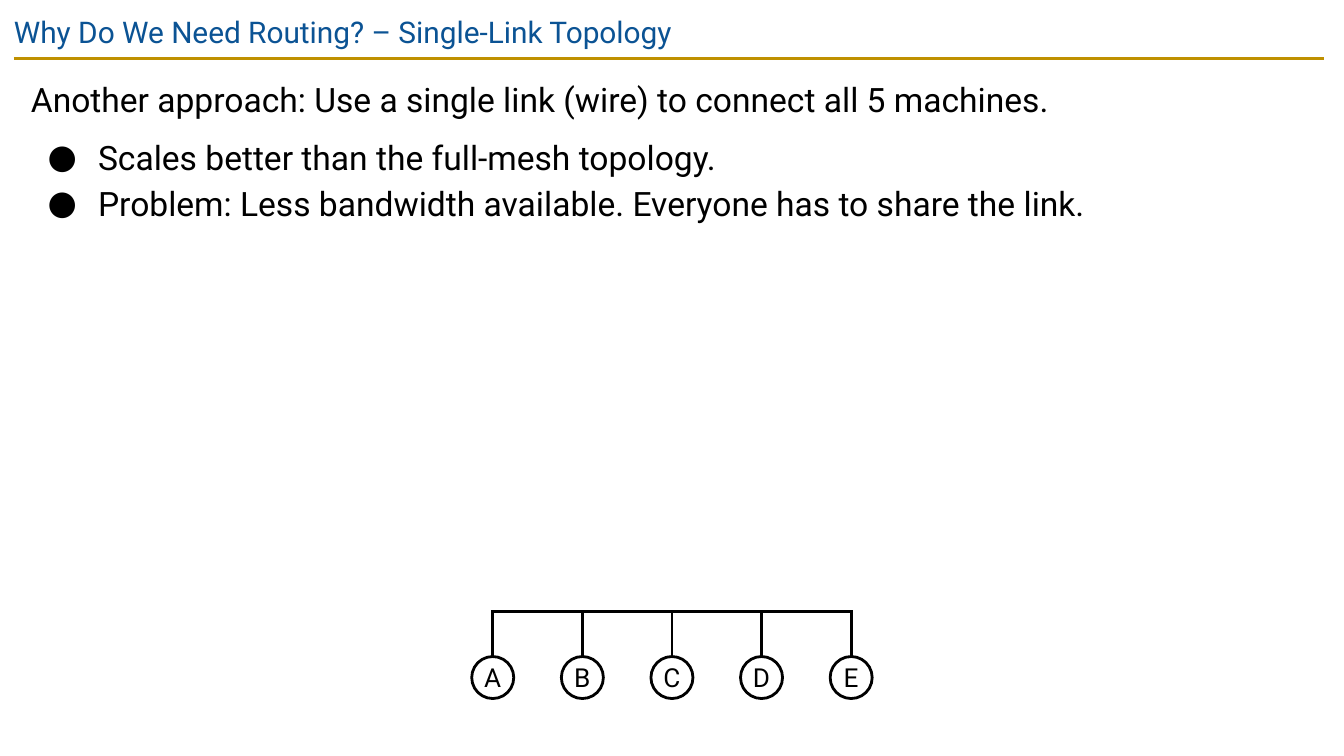
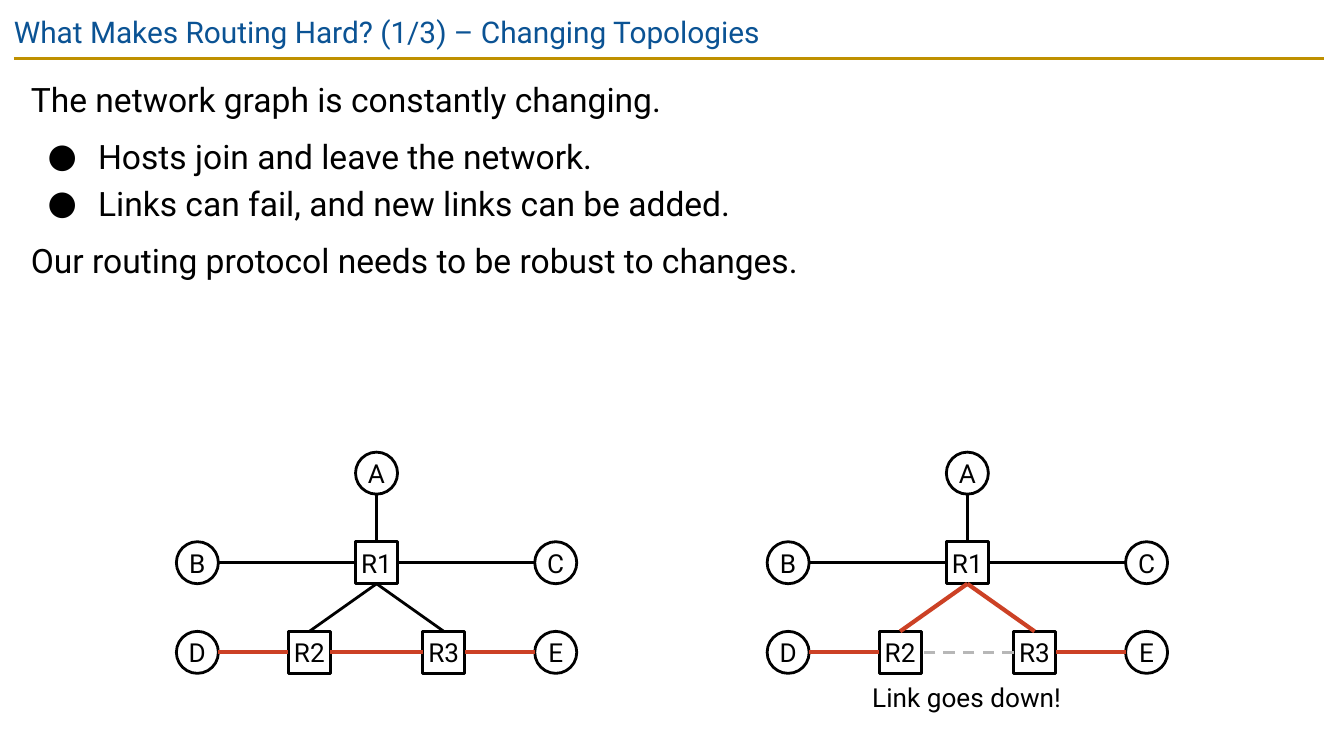
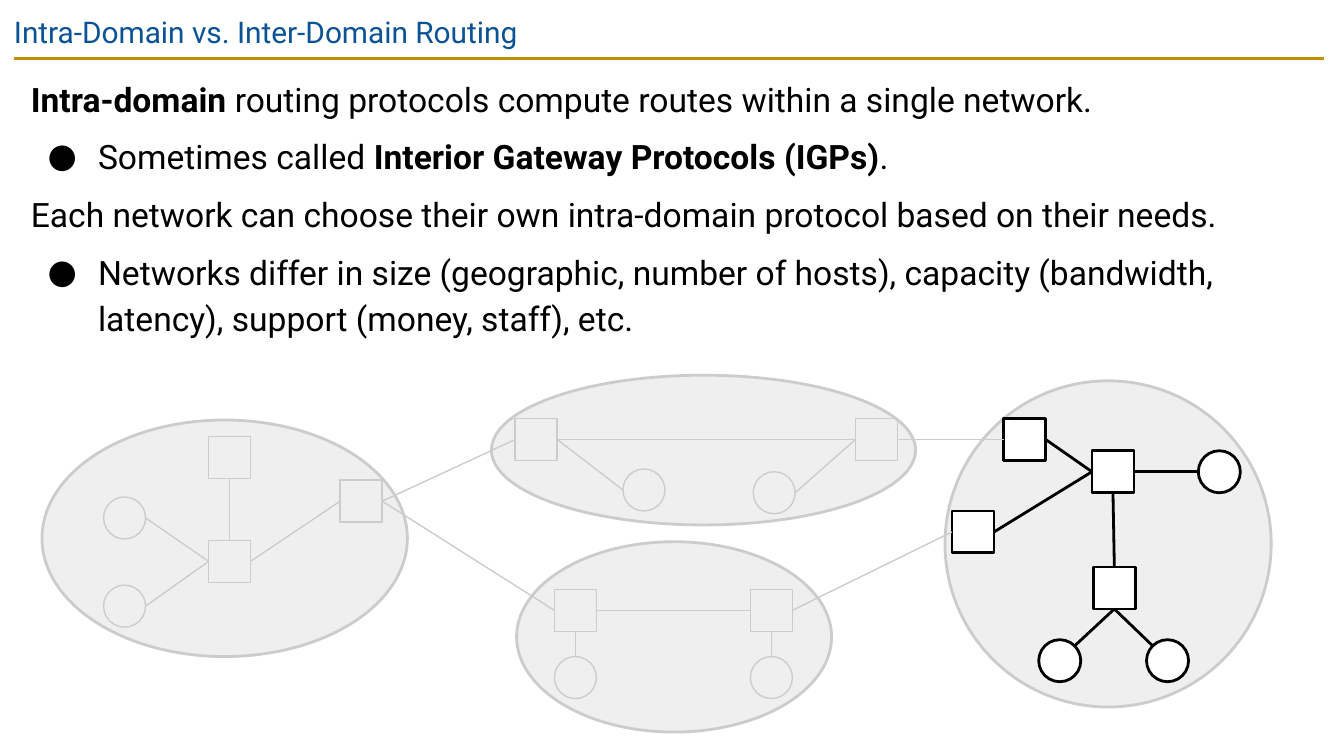
import dataclasses
import typing

import pptx
import pptx.dml.color
import pptx.enum.dml
import pptx.enum.shapes
import pptx.enum.text
import pptx.oxml.ns
import pptx.util
from lxml import etree

RGBColor = pptx.dml.color.RGBColor
Shape = pptx.enum.shapes.MSO_SHAPE
Align = pptx.enum.text.PP_ALIGN
Anchor = pptx.enum.text.MSO_ANCHOR
Dash = pptx.enum.dml.MSO_LINE
qn = pptx.oxml.ns.qn

# Shared look
BLACK = RGBColor(0x00, 0x00, 0x00)
WHITE = RGBColor(0xFF, 0xFF, 0xFF)
BLUE = RGBColor(0x0B, 0x53, 0x94)
GOLD = RGBColor(0xBF, 0x90, 0x00)
RED = RGBColor(0xCC, 0x41, 0x25)
DOWN_GRAY = RGBColor(0xB7, 0xB7, 0xB7)
FADED = RGBColor(0xCC, 0xCC, 0xCC)
CLOUD_GRAY = RGBColor(0xEF, 0xEF, 0xEF)

FONT = "Roboto"
EMU_PER_PX = 9525
SLIDE_W, SLIDE_H = 960, 540
NODE = 30
PAD = 10
HOST, ROUTER = Shape.OVAL, Shape.RECTANGLE

# Where a link can meet a node, as fractions of the node's box
SIDES = {"t": (0.5, 0), "b": (0.5, 1), "l": (0, 0.5), "r": (1, 0.5),
         "tl": (0.15, 0.15), "tr": (0.85, 0.15)}


@dataclasses.dataclass(frozen=True)
class Pen:
    color: RGBColor = BLACK
    width: float = 1.5
    dash: typing.Optional[Dash] = None


INK = Pen()
ROUTE = Pen(RED, 2.25)
DOWN = Pen(DOWN_GRAY, 1.5, Dash.DASH)
FAINT = Pen(FADED, 0.75)
EDGE = Pen(FADED)


@dataclasses.dataclass(frozen=True)
class Node:
    kind: Shape
    x: int
    y: int
    label: str = ""
    pen: Pen = INK
    fill: typing.Optional[RGBColor] = WHITE

    def at(self, side: str) -> tuple[int, int]:
        fx, fy = SIDES[side]
        return self.x + round(fx * NODE), self.y + round(fy * NODE)


class Link(typing.NamedTuple):
    start: str
    start_side: str
    end: str
    end_side: str
    pen: Pen = INK


class Para(typing.NamedTuple):
    text: str  # **bold** marks strong words
    bullet: bool = False
    before: int = 6


def px(n: int) -> int:
    return pptx.util.Emu(n * EMU_PER_PX)


def apply(obj: typing.Any, values: dict[str, typing.Any]) -> None:
    for name, value in values.items():
        setattr(obj, name, value)


# Drawing helpers
def set_pen(line: typing.Any, pen: Pen) -> None:
    line.color.rgb = pen.color
    line.width = pptx.util.Pt(pen.width)
    if pen.dash:
        line.dash_style = pen.dash


def add_line(s: typing.Any, start: tuple[int, int], end: tuple[int, int], pen: Pen) -> None:
    c = s.shapes.add_connector(pptx.enum.shapes.MSO_CONNECTOR.STRAIGHT,
                               *map(px, start + end))
    set_pen(c.line, pen)
    etree.SubElement(c._element.spPr, qn("a:effectLst"))


def add_outline(s: typing.Any, kind: Shape, box: tuple[int, int, int, int],
                fill: typing.Optional[RGBColor], pen: Pen) -> typing.Any:
    sp = s.shapes.add_shape(kind, *map(px, box))
    sp.shadow.inherit = False
    if fill is None:
        sp.fill.background()
    else:
        sp.fill.solid()
        sp.fill.fore_color.rgb = fill
    set_pen(sp.line, pen)
    return sp


def frame(tf: typing.Any, pad: int, wrap: bool, anchor: Anchor) -> None:
    margins = {f"margin_{side}": px(pad) for side in ("left", "right", "top", "bottom")}
    apply(tf, {**margins, "word_wrap": wrap, "vertical_anchor": anchor})


def write(p: typing.Any, text: str, size: int, color: RGBColor = BLACK) -> None:
    for i, part in enumerate(text.split("**")):
        if part:
            r = p.add_run()
            r.text = part
            apply(r.font, {"name": FONT, "size": pptx.util.Pt(size), "bold": i % 2 == 1})
            r.font.color.rgb = color


def add_text(s: typing.Any, box: tuple[int, int, int, int], pad: int) -> typing.Any:
    tf = s.shapes.add_textbox(*map(px, box)).text_frame
    frame(tf, pad, True, Anchor.TOP)
    return tf


def add_bullet(p: typing.Any) -> None:
    pPr = p._p.get_or_add_pPr()
    pPr.set("marL", str(px(48)))
    pPr.set("indent", str(px(-36)))
    color = etree.SubElement(pPr, qn("a:buClr"))
    etree.SubElement(color, qn("a:srgbClr")).set("val", str(BLACK))
    etree.SubElement(pPr, qn("a:buFont")).set("typeface", FONT)
    etree.SubElement(pPr, qn("a:buChar")).set("char", "●")


def add_slide(prs: typing.Any, title: str, body_h: int, paras: list[Para]) -> typing.Any:
    s = prs.slides.add_slide(prs.slide_layouts[6])
    add_line(s, (PAD, 42), (946, 42), Pen(GOLD))
    write(add_text(s, (0, 0, SLIDE_W, 41), PAD).paragraphs[0], title, 16, BLUE)
    tf = add_text(s, (12, 42, 935, body_h), PAD)
    for i, para in enumerate(paras):
        p = tf.add_paragraph() if i else tf.paragraphs[0]
        if para.bullet:
            add_bullet(p)
        apply(p, {"line_spacing": 1.15, "space_before": pptx.util.Pt(para.before)})
        write(p, para.text, 18)
    return s


def add_network(s: typing.Any, nodes: dict[str, Node], links: list[Link]) -> None:
    for n in nodes.values():
        sp = add_outline(s, n.kind, (n.x, n.y, NODE, NODE), n.fill, n.pen)
        if n.label:
            frame(sp.text_frame, 0, False, Anchor.MIDDLE)
            p = sp.text_frame.paragraphs[0]
            p.alignment = Align.CENTER
            write(p, n.label, 14)
    for k in links:
        add_line(s, nodes[k.start].at(k.start_side), nodes[k.end].at(k.end_side), k.pen)


# Slide 1: hosts hanging off one shared wire
def single_link_slide(prs: typing.Any) -> None:
    s = add_slide(prs, "Why Do We Need Routing? – Single-Link Topology", 368, [
        Para("Another approach: Use a single link (wire) to connect all 5 machines."),
        Para("Scales better than the full-mesh topology.", True),
        Para("Problem: Less bandwidth available. Everyone has to share the link.", True, 0),
    ])
    hosts = {name: Node(HOST, 337 + 64 * i, 469, name) for i, name in enumerate("ABCDE")}
    add_network(s, hosts, [])
    wire_y = 437
    for host in hosts.values():
        x, y = host.at("t")
        add_line(s, (x, y), (x, wire_y), INK)
    add_line(s, (351, wire_y), (609, wire_y), INK)


# Slide 2: the same network before and after a link fails
def add_topology(s: typing.Any, x: int, uplink: Pen, cross: Pen) -> None:
    top, middle, bottom = (323 + 64 * row for row in range(3))
    places = {"A": (0, top), "R1": (0, middle), "B": (-128, middle), "C": (128, middle),
              "R2": (-48, bottom), "R3": (48, bottom), "D": (-128, bottom), "E": (128, bottom)}
    nodes = {name: Node(ROUTER if name.startswith("R") else HOST, x + dx, y, name)
             for name, (dx, y) in places.items()}
    add_network(s, nodes, [
        Link("R2", "t", "R1", "b", uplink),
        Link("R3", "t", "R1", "b", uplink),
        Link("R3", "l", "R2", "r", cross),
        Link("A", "b", "R1", "t"),
        Link("C", "l", "R1", "r"),
        Link("R1", "l", "B", "r"),
        Link("E", "l", "R3", "r", ROUTE),
        Link("R2", "l", "D", "r", ROUTE),
    ])


def changing_slide(prs: typing.Any) -> None:
    s = add_slide(prs, "What Makes Routing Hard? (1/3) – Changing Topologies", 252, [
        Para("The network graph is constantly changing."),
        Para("Hosts join and leave the network.", True),
        Para("Links can fail, and new links can be added.", True, 0),
        Para("Our routing protocol needs to be robust to changes."),
    ])
    add_topology(s, 254, INK, ROUTE)
    add_topology(s, 676, ROUTE, DOWN)
    p = add_text(s, (620, 487, 141, 23), 0).paragraphs[0]
    p.alignment = Align.CENTER
    write(p, "Link goes down!", 14)


# Slide 3: four domains, one of them highlighted
def domains_slide(prs: typing.Any) -> None:
    s = add_slide(prs, "Intra-Domain vs. Inter-Domain Routing", 214, [
        Para("**Intra-domain** routing protocols compute routes within a single network."),
        Para("Sometimes called **Interior Gateway Protocols (IGPs)**.", True),
        Para("Each network can choose their own intra-domain protocol based on their needs."),
        Para("Networks differ in size (geographic, number of hosts), capacity (bandwidth, "
             "latency), support (money, staff), etc.", True),
    ])
    for cloud in [(351, 268, 303, 107), (369, 387, 225, 136),
                  (675, 272, 233, 233), (30, 300, 261, 169)]:
        add_outline(s, HOST, cloud, CLOUD_GRAY, EDGE)

    faint = {
        "west hub": (ROUTER, 149, 386), "west top": (ROUTER, 149, 312),
        "west gate": (ROUTER, 243, 343),
        "west host 1": (HOST, 74, 355), "west host 2": (HOST, 74, 418),
        "north left": (ROUTER, 368, 299), "north right": (ROUTER, 611, 299),
        "north host 1": (HOST, 445, 335), "north host 2": (HOST, 538, 337),
        "south left": (ROUTER, 396, 421), "south right": (ROUTER, 536, 421),
        "south host 1": (HOST, 396, 469), "south host 2": (HOST, 536, 469),
    }
    bold = {
        "east gate 1": (ROUTER, 717, 299), "east gate 2": (ROUTER, 680, 365),
        "east hub": (ROUTER, 780, 322), "east low": (ROUTER, 781, 405),
        "east host 1": (HOST, 742, 457), "east host 2": (HOST, 819, 457),
        "east host 3": (HOST, 856, 322),
    }
    nodes = {name: Node(*place, pen=FAINT, fill=None) for name, place in faint.items()}
    nodes.update({name: Node(*place) for name, place in bold.items()})

    faint_links = [
        ("west hub", "l", "west host 1", "r"), ("west hub", "l", "west host 2", "r"),
        ("west hub", "r", "west gate", "l"), ("west top", "b", "west hub", "t"),
        ("north right", "l", "north host 2", "r"), ("north right", "l", "north left", "r"),
        ("north left", "r", "north host 1", "l"),
        ("south host 1", "t", "south left", "b"), ("south left", "r", "south right", "l"),
        ("south host 2", "t", "south right", "b"),
        ("west gate", "r", "south left", "l"), ("west gate", "r", "north left", "l"),
        ("north right", "r", "east gate 1", "l"), ("south right", "r", "east gate 2", "l"),
    ]
    bold_links = [
        ("east host 2", "tl", "east low", "b"), ("east host 1", "tr", "east low", "b"),
        ("east hub", "l", "east gate 1", "r"), ("east hub", "l", "east gate 2", "r"),
        ("east hub", "b", "east low", "t"), ("east hub", "r", "east host 3", "l"),
    ]
    add_network(s, nodes, [Link(*ends, FAINT) for ends in faint_links]
                + [Link(*ends) for ends in bold_links])


def main() -> None:
    prs = pptx.Presentation()
    apply(prs, {"slide_width": px(SLIDE_W), "slide_height": px(SLIDE_H)})
    single_link_slide(prs)
    changing_slide(prs)
    domains_slide(prs)
    prs.save("out.pptx")


if __name__ == "__main__":
    main()
